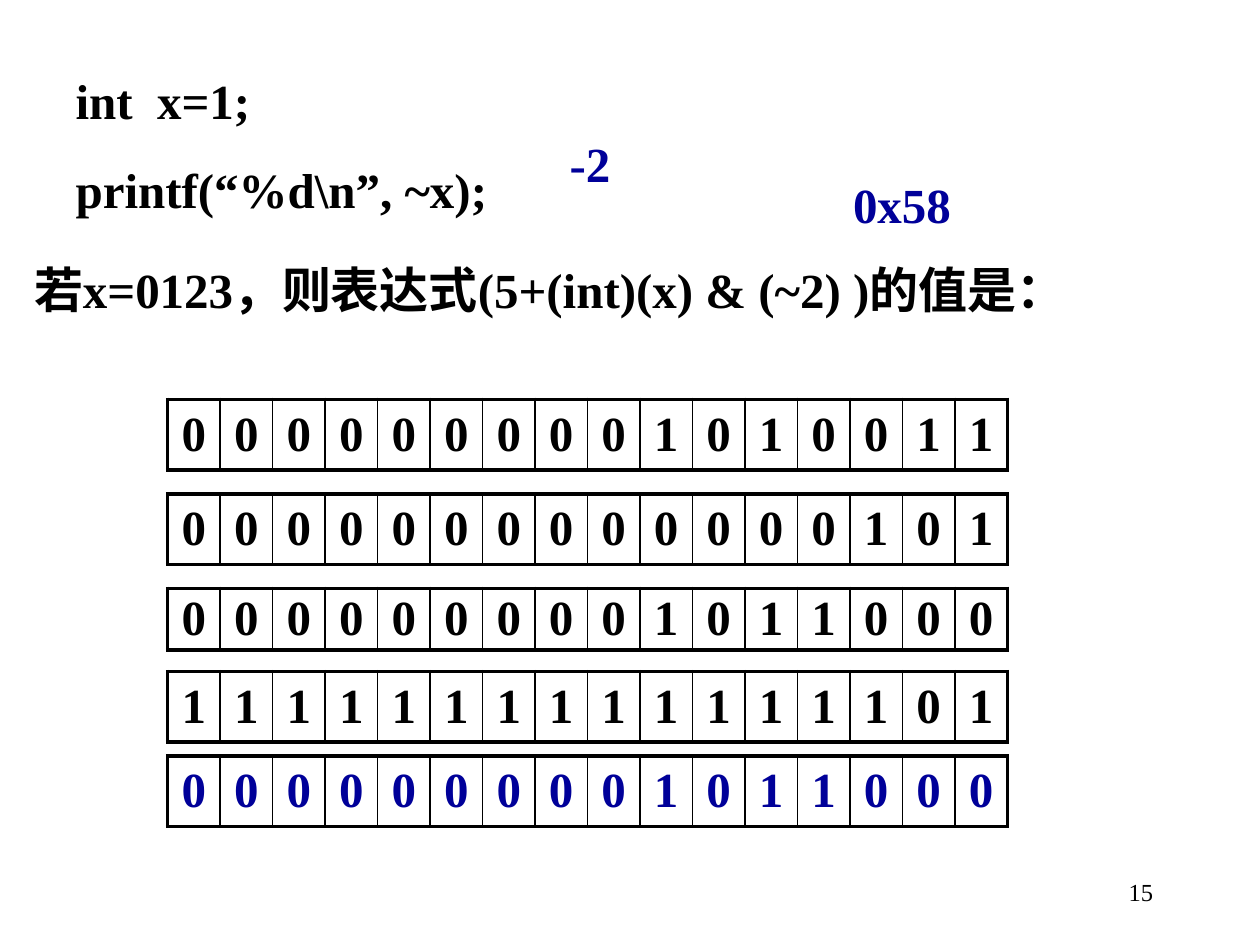
import pptx
import pptx.dml.color
import pptx.enum.text
import pptx.oxml
import pptx.oxml.ns
import pptx.util
from pptx.util import Inches

FONT = "Times New Roman"
BLACK, BLUE = "000000", "000099"
WORDS = [
    ("0000000001010011", 3.17, 0.56, BLACK),
    ("0000000000000101", 3.92, 0.56, BLACK),
    ("0000000001011000", 4.67, 0.49, BLACK),
    ("1111111111111101", 5.33, 0.56, BLACK),
    ("0000000001011000", 6, 0.56, BLUE),
]


def paint(color, tone):
    color.rgb = pptx.dml.color.RGBColor.from_string(tone)


def write(para, text, tone, size=28, bold=True):
    run = para.add_run()
    run.text = text
    run.font.name = FONT
    run.font.size = pptx.util.Pt(size)
    run.font.bold = bold
    paint(run.font.color, tone)


def pad(item):
    """Set the slim margins shared by text boxes and cells."""
    item.margin_left = item.margin_right = Inches(0.02)
    item.margin_top = item.margin_bottom = Inches(0.01)


def add_text(slide, lines, left, top, width, height, tone=BLACK):
    box = slide.shapes.add_textbox(*map(Inches, (left, top, width, height)))
    frame = box.text_frame
    frame.word_wrap = True
    frame.auto_size = pptx.enum.text.MSO_AUTO_SIZE.SHAPE_TO_FIT_TEXT
    pad(frame)
    for i, line in enumerate(lines):
        para = frame.add_paragraph() if i else frame.paragraphs[0]
        para.line_spacing = 1.1
        if i:
            para.space_before = pptx.util.Pt(14)
        write(para, line, tone)


def add_number(slide, text):
    box = slide.shapes.add_textbox(*map(Inches, (7.17, 6.83, 2.08, 0.5)))
    frame = box.text_frame
    frame.word_wrap = True
    frame.vertical_anchor = pptx.enum.text.MSO_ANCHOR.MIDDLE
    para = frame.paragraphs[0]
    para.alignment = pptx.enum.text.PP_ALIGN.RIGHT
    write(para, text, BLACK, 14, False)


def add_edge(cell, side, width):
    space = pptx.oxml.ns.nsdecls("a")
    edge = pptx.oxml.parse_xml(
        f'<a:{side} {space} w="{pptx.util.Pt(width)}"><a:solidFill>'
        f'<a:srgbClr val="{BLACK}"/></a:solidFill></a:{side}>'
    )
    cell._tc.get_or_add_tcPr().append(edge)


def add_bits(slide, bits, top, height, tone):
    """Draw a binary word as a one-row table with a thick frame."""
    count = len(bits)
    width = Inches(6.67)
    frame = slide.shapes.add_table(
        1, count, Inches(1.33), Inches(top), width, Inches(height)
    )
    table = frame.table
    table.first_row = table.horz_banding = False
    for i, bit in enumerate(bits):
        table.columns[i].width = width // count
        cell = table.cell(0, i)
        pad(cell)
        cell.vertical_anchor = pptx.enum.text.MSO_ANCHOR.MIDDLE
        add_edge(cell, "lnL", 1 if i else 2.25)
        add_edge(cell, "lnR", 1 if i < count - 1 else 2.25)
        add_edge(cell, "lnT", 2.25)
        add_edge(cell, "lnB", 2.25)
        cell.fill.background()
        para = cell.text_frame.paragraphs[0]
        para.alignment = pptx.enum.text.PP_ALIGN.CENTER
        write(para, bit, tone)


def main():
    deck = pptx.Presentation()
    deck.slide_width, deck.slide_height = Inches(10), Inches(7.5)
    slide = deck.slides.add_slide(deck.slide_layouts[6])
    add_number(slide, "15")
    code = ["int  x=1;", "printf(“%d\\n”, ~x);"]
    add_text(slide, code, 0.58, 0.5, 6.25, 1.29)
    add_text(slide, ["-2"], 4.5, 1, 2.75, 0.54, BLUE)
    task = "若x=0123，则表达式(5+(int)(x) & (~2) )的值是："
    add_text(slide, [task], 0.25, 2, 8.75, 0.54)
    for bits, top, height, tone in WORDS:
        add_bits(slide, bits, top, height, tone)
    add_text(slide, ["0x58"], 6.75, 1.33, 1.75, 0.54, BLUE)
    deck.save("out.pptx")


if __name__ == "__main__":
    main()
